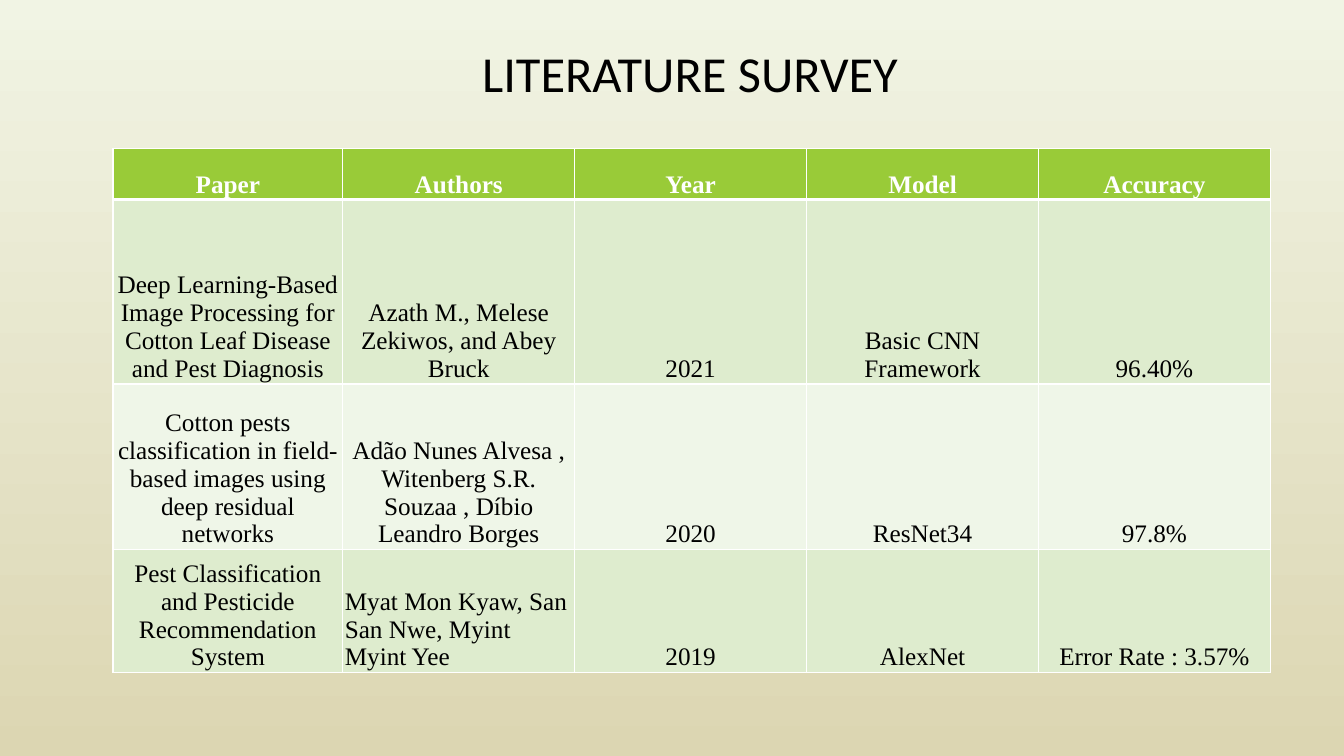
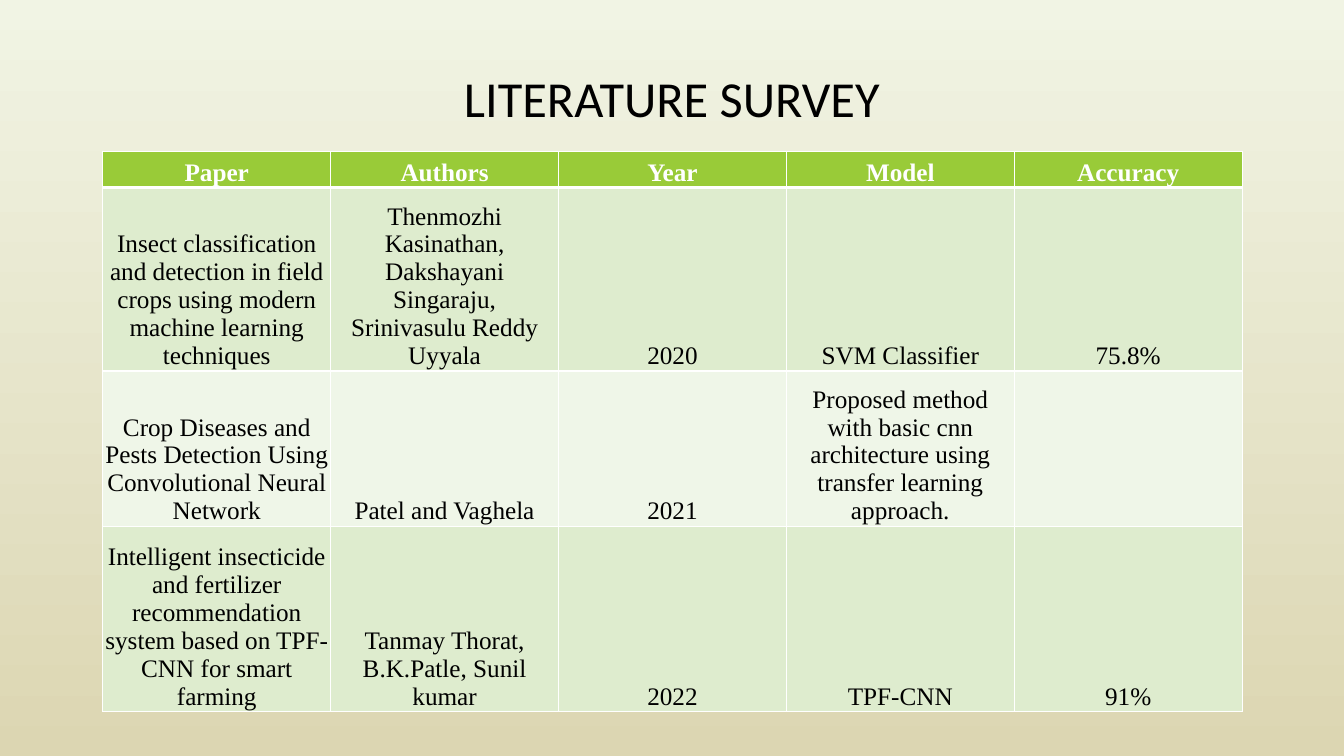
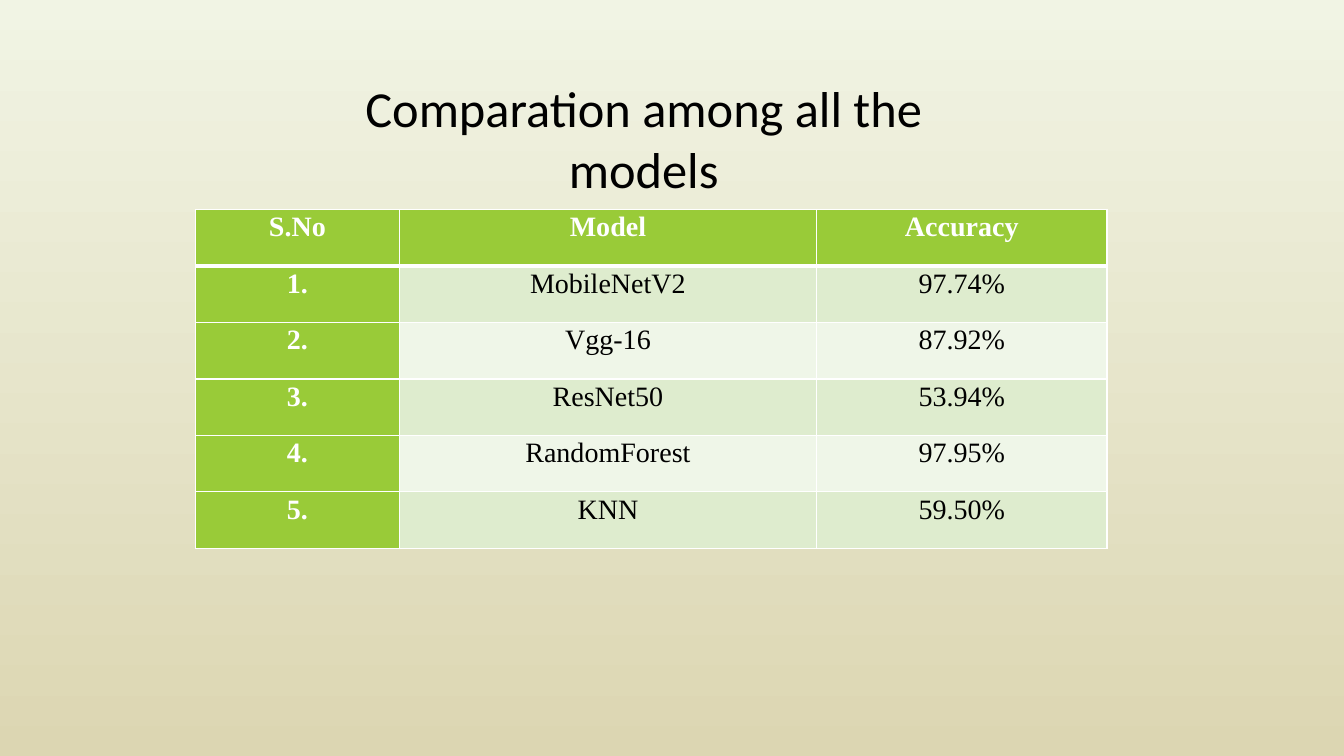
from lxml import etree
from pptx import Presentation
from pptx.dml.color import RGBColor
from pptx.enum.text import MSO_ANCHOR, PP_ALIGN
from pptx.oxml.ns import qn
from pptx.util import Inches, Pt

TOP, MIDDLE, BOTTOM = MSO_ANCHOR.TOP, MSO_ANCHOR.MIDDLE, MSO_ANCHOR.BOTTOM
LEFT, CENTER = PP_ALIGN.LEFT, PP_ALIGN.CENTER

COLORS = {
    "bg_top": "F1F4E4",
    "bg_bottom": "DCD6B2",
    "accent": "99CB38",
    "band_dark": "DEECCE",
    "band_light": "EFF6E8",
    "white": "FFFFFF",
    "black": "000000",
}
TITLE_FONT, TABLE_FONT = "Calibri", "Times New Roman"

SURVEY_HEAD = ["Paper", "Authors", "Year", "Model", "Accuracy"]
SURVEY_STYLE = {"size": 18, "anchor": BOTTOM, "margins": (0.02, 0.01),
                "spacing": 1, "after": 0, "first_col": False}
MODELS_STYLE = {"size": 20, "anchor": TOP, "margins": (0.07, 0),
                "spacing": 1.07, "after": 8, "first_col": True}

SLIDES = [
    {
        "title": "LITERATURE SURVEY",
        "title_box": (1.18, 0.08, 11.33, 1.35),
        "title_anchor": MIDDLE,
        "title_spacing": 0.9,
        "table_at": (1.12, 1.47),
        "cols": [2.28] + [2.3] * 4,
        "row_heights": [0.51, 1.83, 1.64, 1.13],
        "style": SURVEY_STYLE,
        "left_cells": [(3, 1)],
        "rows": [
            SURVEY_HEAD,
            ["Deep Learning-Based Image Processing for Cotton Leaf Disease and Pest Diagnosis",
             "Azath M., Melese Zekiwos, and Abey Bruck",
             "2021", "Basic CNN Framework", "96.40%"],
            ["Cotton pests classification in field-based images using deep residual networks",
             "Adão Nunes Alvesa , Witenberg S.R. Souzaa , Díbio Leandro Borges",
             "2020", "ResNet34", "97.8%"],
            ["Pest Classification and Pesticide Recommendation System",
             "Myat Mon Kyaw, San San Nwe, Myint Myint Yee",
             "2019", "AlexNet", "Error Rate : 3.57%"],
        ],
    },
    {
        "title": "LITERATURE SURVEY",
        "title_box": (1, 0.47, 11.33, 1.07),
        "title_anchor": MIDDLE,
        "title_spacing": 0.9,
        "table_at": (1.02, 1.5),
        "cols": [2.26] * 5,
        "row_heights": [0.36, 1.54, 1.54, 1.84],
        "style": SURVEY_STYLE,
        "left_cells": [],
        "rows": [
            SURVEY_HEAD,
            ["Insect classification and detection in field crops using modern machine learning techniques",
             "Thenmozhi Kasinathan, Dakshayani Singaraju, Srinivasulu Reddy Uyyala",
             "2020", "SVM Classifier", "75.8%"],
            ["Crop Diseases and Pests Detection Using Convolutional Neural Network",
             "Patel and Vaghela", "2021",
             "Proposed method with basic cnn architecture using transfer learning approach.", ""],
            ["Intelligent insecticide and fertilizer recommendation system based on TPF-CNN for smart farming",
             "Tanmay Thorat, B.K.Patle, Sunil kumar",
             "2022", "TPF-CNN", "91%"],
        ],
    },
    {
        "title": "Comparation among all the models",
        "title_box": (2.76, 0.72, 7.25, 0.71),
        "title_anchor": TOP,
        "title_spacing": 1,
        "table_at": (1.94, 2.08),
        "cols": [2.02, 4.14, 2.88],
        "row_heights": [0.56] * 6,
        "style": MODELS_STYLE,
        "left_cells": [],
        "rows": [
            ["S.No", "Model", "Accuracy"],
            ["1.", "MobileNetV2", "97.74%"],
            ["2.", "Vgg-16", "87.92%"],
            ["3.", "ResNet50", "53.94%"],
            ["4.", "RandomForest", "97.95%"],
            ["5.", "KNN", "59.50%"],
        ],
    },
]


def write(tf, text, font, size, color="black", bold=False, align=CENTER, spacing=1, after=0):
    tf.word_wrap = True
    p = tf.paragraphs[0]
    p.alignment, p.line_spacing, p.space_after = align, spacing, Pt(after)
    if not text:
        return
    r = p.add_run()
    r.text = text
    r.font.name, r.font.size, r.font.bold = font, Pt(size), bold
    r.font.color.rgb = RGBColor.from_string(COLORS[color])


def set_borders(cell, **widths):
    """Draw white cell edges; widths are points keyed L, R, T, B in that order."""
    tc_pr = cell._tc.get_or_add_tcPr()
    for side, width in widths.items():
        ln = etree.SubElement(tc_pr, qn(f"a:ln{side}"), w=str(Pt(width)))
        fill = etree.SubElement(ln, qn("a:solidFill"))
        etree.SubElement(fill, qn("a:srgbClr"), val=COLORS["white"])


prs = Presentation()
prs.slide_width, prs.slide_height = Inches(13.33), Inches(7.5)

bg = prs.slide_master.background.fill
bg.gradient()
bg.gradient_angle = 270
for stop, name in zip(bg.gradient_stops, ("bg_top", "bg_bottom")):
    stop.color.rgb = RGBColor.from_string(COLORS[name])

for page in SLIDES:
    s = prs.slides.add_slide(prs.slide_layouts[6])
    style = page["style"]

    tf = s.shapes.add_textbox(*map(Inches, page["title_box"])).text_frame
    tf.vertical_anchor = page["title_anchor"]
    write(tf, page["title"], TITLE_FONT, 36, spacing=page["title_spacing"])

    size = (sum(page["cols"]), sum(page["row_heights"]))
    table = s.shapes.add_table(len(page["rows"]), len(page["cols"]),
                               *map(Inches, page["table_at"] + size)).table
    table.horz_banding = False
    table.first_col = style["first_col"]
    for column, width in zip(table.columns, page["cols"]):
        column.width = Inches(width)
    for row, height in zip(table.rows, page["row_heights"]):
        row.height = Inches(height)

    margin_x, margin_y = map(Inches, style["margins"])
    for i, texts in enumerate(page["rows"]):
        for j, text in enumerate(texts):
            cell = table.cell(i, j)
            heading = i == 0 or (j == 0 and style["first_col"])
            band = "band_dark" if i % 2 else "band_light"
            set_borders(cell, L=1, R=1, T=3 if i == 1 else 1, B=3 if i == 0 else 1)
            cell.fill.solid()
            cell.fill.fore_color.rgb = RGBColor.from_string(COLORS["accent" if heading else band])
            cell.vertical_anchor = style["anchor"]
            cell.margin_left = cell.margin_right = margin_x
            cell.margin_top = cell.margin_bottom = margin_y
            write(cell.text_frame, text, TABLE_FONT, style["size"],
                  color="white" if heading else "black", bold=heading,
                  align=LEFT if (i, j) in page["left_cells"] else CENTER,
                  spacing=style["spacing"], after=style["after"])

prs.save("out.pptx")
